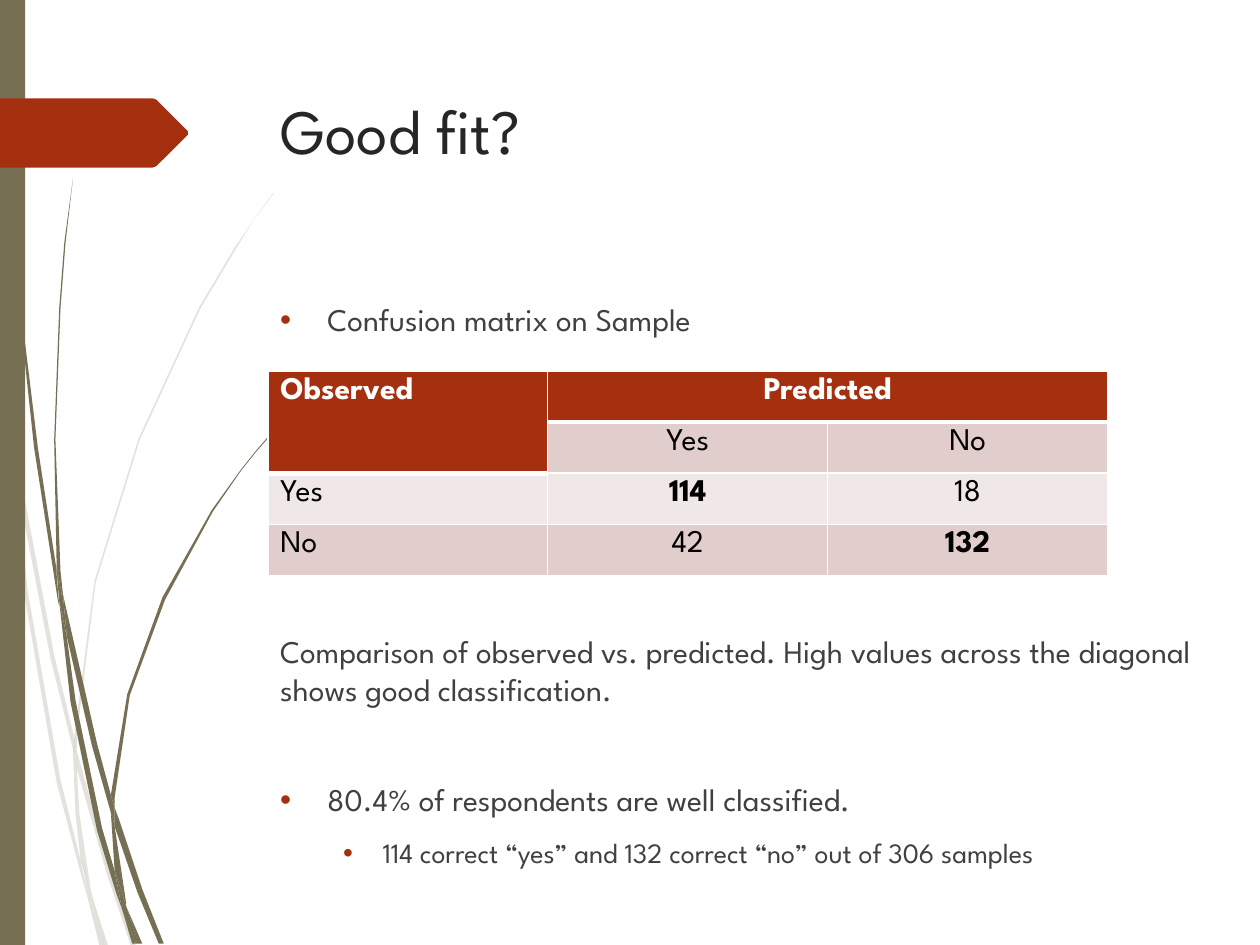
from lxml import etree
from pptx import Presentation
from pptx import util as u
from pptx.dml.color import RGBColor
from pptx.enum import shapes, text
from pptx.oxml import ns

Pt = u.Pt
OLIVE = RGBColor(0x76, 0x6F, 0x54)
RUST = RGBColor(0xA5, 0x30, 0x10)
WHITE = RGBColor(0xFF, 0xFF, 0xFF)
BLACK = RGBColor(0, 0, 0)
TITLE = RGBColor(0x26, 0x26, 0x26)
BODY = RGBColor(0x40, 0x40, 0x40)
BAND_DARK = RGBColor(0xE1, 0xCD, 0xCC)
BAND_LIGHT = RGBColor(0xF0, 0xE8, 0xE7)
FONT = "League Spartan"
UNIT = Pt(0.72)

PALE_WISPS = [
    "8 350 6 322 0 282 0 299 7 344",
    "40 522 59 599 59 586 43 520 10 345 12 376",
    "64 607 61 596 61 610 85 694 104 751 108 751 88 692",
    "83 751 86 751 73 711",
    "64 683 48 619 22 469 12 376 8 350 19 470 45 621 64 693 70 714 69 707",
    "58 599 60 646 64 683 67 692 73 711 72 706 63 646 61 610 61 608",
    "61 584 76 462 111 349 159 245 187 198 201 175 217 154 217 153 201 175 186 197 158 244 "
    "110 348 75 461 59 584 59 586 61 596",
    "70 714 79 751 82 751",
    "61 608 61 610 61 596 59 586 58 599",
    "67 692 65 683 69 707 70 714 82 751 83 751 73 711",
]
DARK_WISPS = [
    "5 110 14 233 27 355 46 477 47 481 45 457 45 453 30 355 15 232 6 109 4 48 3 0 2 0 3 48",
    "73 592 88 645 88 633 88 631 77 590 50 472 53 505",
    "94 649 91 641 91 656 109 708 126 749 130 749 113 706",
    "91 691 81 657 60 556 53 505 47 477 56 557 77 659 92 708 97 722 96 717",
    "50 472 48 453 44 349 48 245 52 193 58 141 51 193 47 245 43 349 45 449 49 472",
    "110 749 113 749 100 719",
    "47 477 53 505 50 472 49 472 45 449 45 453",
    "91 633 103 552 131 476 169 406 191 374 203 359 216 344 215 344 203 358 191 373 168 405 "
    "129 474 101 551 88 631 91 641",
    "97 722 105 749 108 749",
    "88 645 91 691 96 706 100 719 100 716 91 656 90 651",
    "88 645 90 651 91 656 91 641 88 631 88 633",
    "96 706 91 691 96 717 97 722 108 749 110 749 100 719",
]
TAG = "149 107 124 132 121 133 0 133 0 78 121 78 124 79 149 104"


def paint(sp, color, alpha=None):
    """Give a shape a plain fill without line or shadow."""
    sp.shadow.inherit = False
    sp.fill.solid()
    sp.fill.fore_color.rgb = color
    sp.line.fill.background()
    if alpha:
        clr = sp._element.spPr.find(ns.qn("a:solidFill")).find(ns.qn("a:srgbClr"))
        etree.SubElement(clr, ns.qn("a:alpha"), val=str(alpha * 1000))


def add_outline(parent, data, color, alpha=None):
    """Draw a closed outline through x y pairs in hundredths of an inch."""
    nums = [int(n) for n in data.split()]
    pts = list(zip(nums[::2], nums[1::2]))
    builder = parent.build_freeform(*pts[0], scale=UNIT)
    builder.add_line_segments(pts[1:], close=True)
    paint(builder.convert_to_shape(), color, alpha)


def add_decoration(s, x, y, w, h):
    """Draw the wisps, the side bar and the tag."""
    for wisps, alpha in ((PALE_WISPS, 20), (DARK_WISPS, None)):
        group = s.shapes.add_group_shape()
        for data in wisps:
            add_outline(group.shapes, data, OLIVE, alpha)
    paint(s.shapes.add_shape(shapes.MSO_SHAPE.RECTANGLE, Pt(x), Pt(y), Pt(w), Pt(h)), OLIVE)
    add_outline(s.shapes, TAG, RUST)


def write(p, words, size, color, bold=False):
    """Add a formatted run."""
    r = p.add_run()
    r.text = words
    for name, value in {"name": FONT, "size": Pt(size), "bold": bold}.items():
        setattr(r.font, name, value)
    r.font.color.rgb = color


def add_bullet(p, margin, indent):
    """Give a paragraph a hanging rust bullet."""
    pPr = p._p.get_or_add_pPr()
    pPr.set("marL", str(Pt(margin)))
    pPr.set("indent", str(-Pt(indent)))
    clr = etree.SubElement(pPr, ns.qn("a:buClr"))
    etree.SubElement(clr, ns.qn("a:srgbClr"), val=str(RUST))
    etree.SubElement(pPr, ns.qn("a:buFont"), typeface="Arial")
    etree.SubElement(pPr, ns.qn("a:buChar"), char="•")


def add_text(s, x, y, w, h, paragraphs):
    """Fill a text box with (words, size, color, space before, bullet) rows."""
    tf = s.shapes.add_textbox(Pt(x), Pt(y), Pt(w), Pt(h)).text_frame
    tf.word_wrap = True
    for i, (words, size, color, before, bullet) in enumerate(paragraphs):
        p = tf.add_paragraph() if i else tf.paragraphs[0]
        if bullet:
            p.level = 1 if bullet[0] > 30 else 0
            add_bullet(p, *bullet)
        p.space_before = Pt(before)
        write(p, words, size, color)


def set_border(cell, side, width):
    """Add one white border to a cell."""
    ln = etree.SubElement(cell._tc.get_or_add_tcPr(), ns.qn("a:ln" + side), w=str(Pt(width)))
    fill = etree.SubElement(ln, ns.qn("a:solidFill"))
    etree.SubElement(fill, ns.qn("a:srgbClr"), val=str(WHITE))


def add_matrix(s, x, y, w, h):
    """Build the confusion matrix."""
    rows = [["Observed", "Predicted", ""], ["", "Yes", "No"], ["Yes", "114", "18"], ["No", "42", "132"]]
    table = s.shapes.add_table(4, 3, Pt(x), Pt(y), Pt(w), Pt(h)).table
    table.cell(0, 0).merge(table.cell(1, 0))
    table.cell(0, 1).merge(table.cell(0, 2))
    for i, row in enumerate(rows):
        for j, words in enumerate(row):
            cell = table.cell(i, j)
            header = i == 0 or (i, j) == (1, 0)
            below = (i, j) in ((1, 1), (1, 2), (2, 0))
            for side, width in {"L": 1, "R": 1, "T": 3 if below else 1, "B": 3 if header else 1}.items():
                set_border(cell, side, width)
            cell.fill.solid()
            cell.fill.fore_color.rgb = RUST if header else BAND_DARK if i % 2 else BAND_LIGHT
            if words:
                p = cell.text_frame.paragraphs[0]
                if j:
                    p.alignment = text.PP_ALIGN.CENTER
                write(p, words, 18, WHITE if header else BLACK, header or (i > 1 and i == j + 1))


def main():
    """Build the slide."""
    prs = Presentation()
    prs.slide_width, prs.slide_height = Pt(720), Pt(540)
    s = prs.slides.add_slide(prs.slide_layouts[6])
    add_decoration(s, 0, 0, 14.4, 540)
    add_text(s, 153, 49, 519, 101, [("Good fit?", 36, TITLE, 0, None)])
    add_text(s, 153, 168, 538, 337, [
        ("Confusion matrix on Sample", 18, BODY, 0, (27, 27)),
        ("Comparison of observed vs. predicted. High values across the diagonal shows good classification.",
         18, BODY, 168, None),
        ("80.4% of respondents are well classified.", 18, BODY, 41.6, (27, 27)),
        ("114 correct “yes” and 132 correct “no” out of 306 samples", 16, BODY, 10, (58.5, 22.5)),
    ])
    add_matrix(s, 153, 212, 480, 116.8)
    prs.save("out.pptx")


if __name__ == "__main__":
    main()
